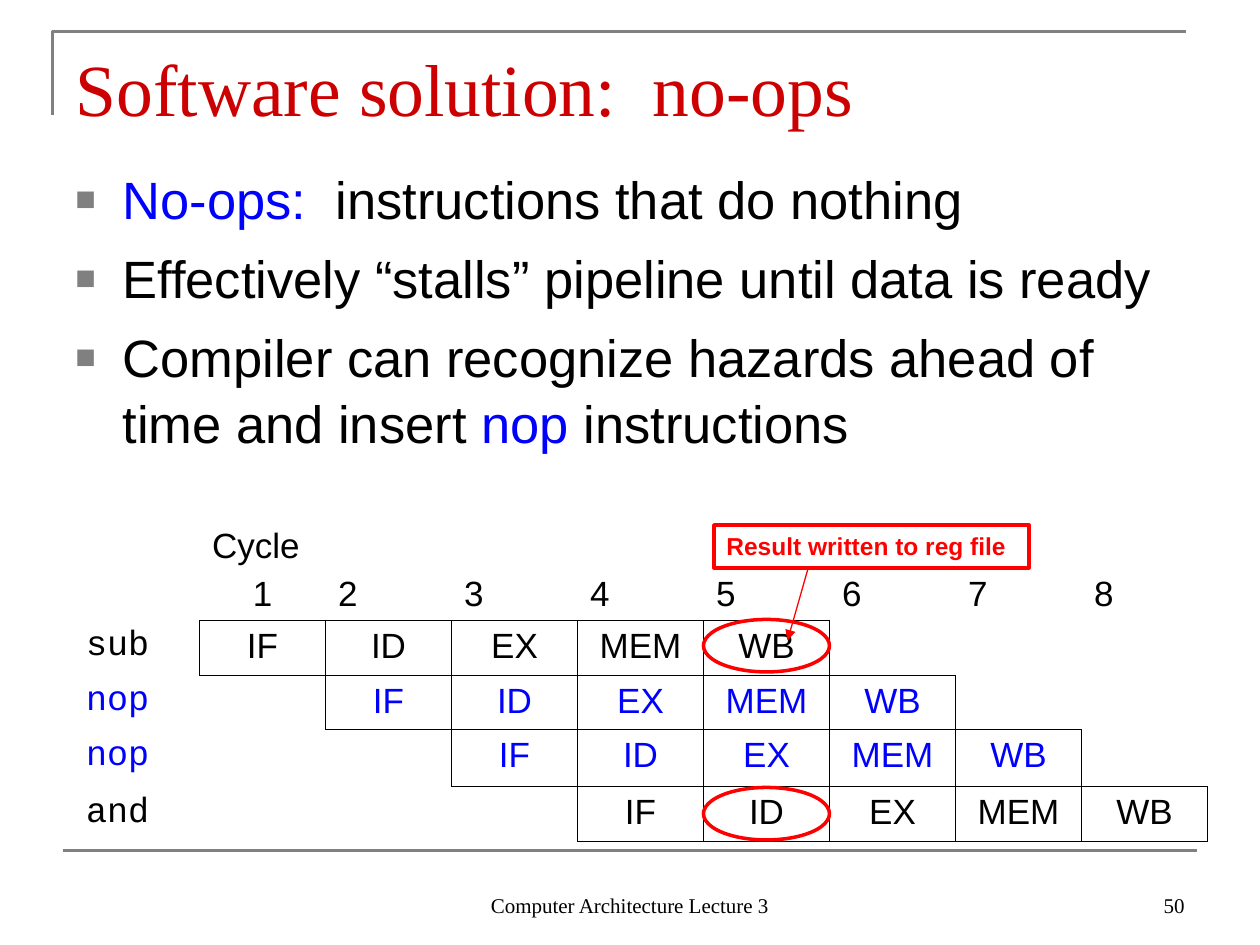
from lxml import etree
from pptx import Presentation
from pptx.dml.color import RGBColor
from pptx.enum.shapes import MSO_CONNECTOR, MSO_SHAPE
from pptx.enum.text import MSO_ANCHOR, PP_ALIGN
from pptx.oxml.ns import qn
from pptx.util import Pt

LEFT, CENTER, RIGHT = PP_ALIGN.LEFT, PP_ALIGN.CENTER, PP_ALIGN.RIGHT
TOP, MIDDLE, BOTTOM = MSO_ANCHOR.TOP, MSO_ANCHOR.MIDDLE, MSO_ANCHOR.BOTTOM
RECTANGLE, OVAL = MSO_SHAPE.RECTANGLE, MSO_SHAPE.OVAL
STRAIGHT = MSO_CONNECTOR.STRAIGHT

SANS, SERIF, MONO = "Arial", "Times New Roman", "Courier New"
BLACK, BLUE, RED, TITLE_RED, GRAY = "000000", "0000FF", "FF0000", "CC0000", "808080"

STAGES = ["IF", "ID", "EX", "MEM", "WB"]
INSTRUCTIONS = [("sub", BLACK), ("nop", BLUE), ("nop", BLUE), ("and", BLACK)]
CYCLES = 8
COLUMN = 72
ROW_HEIGHTS = [60.5, 31, 31, 32.5, 31]
TABLE_LEFT, TABLE_TOP = 42, 294


def color(value):
    return RGBColor.from_string(value)


def add_element(parent, tag, **attributes):
    return etree.SubElement(parent, qn(tag), attributes)


class SlideBuilder:
    def __init__(self, slide):
        self.slide = slide
        self.shapes = slide.shapes

    def run(self, paragraph, text, size, font=SANS, ink=BLACK, bold=False):
        run = paragraph.add_run()
        run.text = text
        run.font.size, run.font.name, run.font.bold = Pt(size), font, bold
        run.font.color.rgb = color(ink)

    def outline(self, shape, ink, width):
        shape.line.color.rgb = color(ink)
        shape.line.width = Pt(width)

    def title(self, text, left, top, width, height):
        title = self.shapes.title
        title.left, title.top = Pt(left), Pt(top)
        title.width, title.height = Pt(width), Pt(height)
        title.text_frame.vertical_anchor = MIDDLE
        paragraph = title.text_frame.paragraphs[0]
        paragraph.alignment = LEFT
        self.run(paragraph, text, 42, SERIF, TITLE_RED)

    def text(self, left, top, width, height, anchor=TOP):
        box = self.shapes.add_textbox(Pt(left), Pt(top), Pt(width), Pt(height))
        box.text_frame.word_wrap = True
        box.text_frame.vertical_anchor = anchor
        return box.text_frame

    def footer(self, text, left, width, alignment):
        paragraph = self.text(left, 492, width, 36, BOTTOM).paragraphs[0]
        paragraph.alignment = alignment
        self.run(paragraph, text, 12, SERIF)

    def bullets(self, items, left, top, width, height):
        frame = self.text(left, top, width, height)
        for index, runs in enumerate(items):
            paragraph = frame.add_paragraph() if index else frame.paragraphs[0]
            paragraph.line_spacing = 1.05
            if index:
                paragraph.space_before = Pt(7.5)
            properties = paragraph._p.get_or_add_pPr()
            properties.set("marL", str(Pt(27)))
            properties.set("indent", str(-Pt(27)))
            bullet_color = add_element(properties, "a:buClr")
            add_element(bullet_color, "a:srgbClr", val=GRAY)
            add_element(properties, "a:buSzPct", val="65000")
            add_element(properties, "a:buFont", typeface=SANS)
            add_element(properties, "a:buChar", char="■")
            for text, ink in runs:
                self.run(paragraph, text, 30, ink=ink)

    def shape(self, kind, left, top, width, height):
        shape = self.shapes.add_shape(kind, Pt(left), Pt(top), Pt(width), Pt(height))
        shape.shadow.inherit = False
        shape.fill.background()
        self.outline(shape, RED, 2)
        return shape

    def callout(self, text, left, top, width, height):
        frame = self.shape(RECTANGLE, left, top, width, height).text_frame
        frame.word_wrap = True
        frame.vertical_anchor = TOP
        frame.paragraphs[0].alignment = LEFT
        self.run(frame.paragraphs[0], text, 14, ink=RED, bold=True)

    def line(self, start, end, ink, width, arrow=False):
        points = [Pt(value) for value in (*start, *end)]
        connector = self.shapes.add_connector(STRAIGHT, *points)
        self.outline(connector, ink, width)
        if arrow:
            add_element(connector.line._get_or_add_ln(), "a:tailEnd", type="triangle")
        add_element(connector._element.spPr, "a:effectLst")

    def corner(self, points, ink, width):
        builder = self.shapes.build_freeform(*points[0], scale=Pt(1))
        builder.add_line_segments(points[1:], close=False)
        shape = builder.convert_to_shape()
        shape.shadow.inherit = False
        shape.fill.background()
        self.outline(shape, ink, width)

    def table(self, left, top, column_width, columns, row_heights):
        frame = self.shapes.add_table(len(row_heights), columns, Pt(left), Pt(top),
                                      Pt(column_width * columns), Pt(sum(row_heights)))
        table = frame.table
        table.first_row = table.horz_banding = False
        for column in table.columns:
            column.width = Pt(column_width)
        for row, height in zip(table.rows, row_heights):
            row.height = Pt(height)
        return table

    def cell_text(self, cell, lines, font=SANS, ink=BLACK, anchor=TOP):
        cell.vertical_anchor = anchor
        frame = cell.text_frame
        for index, (text, alignment) in enumerate(lines):
            paragraph = frame.add_paragraph() if index else frame.paragraphs[0]
            paragraph.alignment = alignment
            if index:
                paragraph.space_before = Pt(5)
            self.run(paragraph, text, 20, font, ink)

    def cell_style(self, cell, borders):
        properties = cell._tc.get_or_add_tcPr()
        for tag, visible in borders.items():
            border = add_element(properties, tag, w=str(Pt(0.45)))
            if visible:
                fill = add_element(border, "a:solidFill")
                add_element(fill, "a:srgbClr", val=BLACK)
            else:
                add_element(border, "a:noFill")
        cell.fill.background()


def is_stage(row, column):
    """Instruction in row r occupies columns r to r + 4."""
    return 1 <= row <= len(INSTRUCTIONS) and 0 <= column - row < len(STAGES)


def add_pipeline(builder):
    table = builder.table(TABLE_LEFT, TABLE_TOP, COLUMN, CYCLES + 1, ROW_HEIGHTS)
    # Cycle numbers
    builder.cell_text(table.cell(0, 1), [("Cycle", LEFT), ("1", CENTER)], anchor=BOTTOM)
    for cycle in range(2, CYCLES + 1):
        builder.cell_text(table.cell(0, cycle), [(str(cycle), LEFT)], anchor=BOTTOM)
    # Each instruction starts one cycle after the one above
    for row, (name, ink) in enumerate(INSTRUCTIONS, start=1):
        builder.cell_text(table.cell(row, 0), [(name, LEFT)], MONO, ink)
        for offset, stage in enumerate(STAGES):
            builder.cell_text(table.cell(row, row + offset), [(stage, CENTER)], ink=ink)
    # Borders wherever a cell or its neighbour holds a stage
    for row in range(len(ROW_HEIGHTS)):
        for column in range(CYCLES + 1):
            here = is_stage(row, column)
            builder.cell_style(table.cell(row, column), {
                "a:lnL": here or is_stage(row, column - 1),
                "a:lnR": here or is_stage(row, column + 1),
                "a:lnT": here or is_stage(row - 1, column),
                "a:lnB": here or is_stage(row + 1, column),
            })


def main():
    presentation = Presentation()
    presentation.slide_width, presentation.slide_height = Pt(720), Pt(540)
    slide = presentation.slides.add_slide(presentation.slide_layouts[5])
    builder = SlideBuilder(slide)

    # Frame lines and footer
    builder.corner([(30, 66), (30, 18), (678, 18)], GRAY, 1.5)
    builder.line((36, 486), (684, 486), GRAY, 1.5)
    builder.footer("Computer Architecture Lecture 3", 246, 228, CENTER)
    builder.footer("50", 516, 168, RIGHT)

    # Title and bullets
    builder.title("Software solution:  no-ops", 36, 21.5, 648, 56)
    builder.bullets([
        [("No-ops:", BLUE), ("  instructions that do nothing", BLACK)],
        [("Effectively “stalls” pipeline until data is ready", BLACK)],
        [("Compiler can recognize hazards ahead of time and insert ", BLACK),
         ("nop", BLUE), (" instructions", BLACK)],
    ], 36, 90, 648, 173.5)

    # Pipeline diagram, with the write and the read of the register file marked
    add_pipeline(builder)
    for top in (354, 450):
        builder.shape(OVAL, TABLE_LEFT + 5 * COLUMN, top, COLUMN, 30)
    builder.callout("Result written to reg file", 408, 300, 180, 24.5)
    builder.line((462, 324), (450, 366), RED, 0.75, arrow=True)

    presentation.save("out.pptx")


if __name__ == "__main__":
    main()
